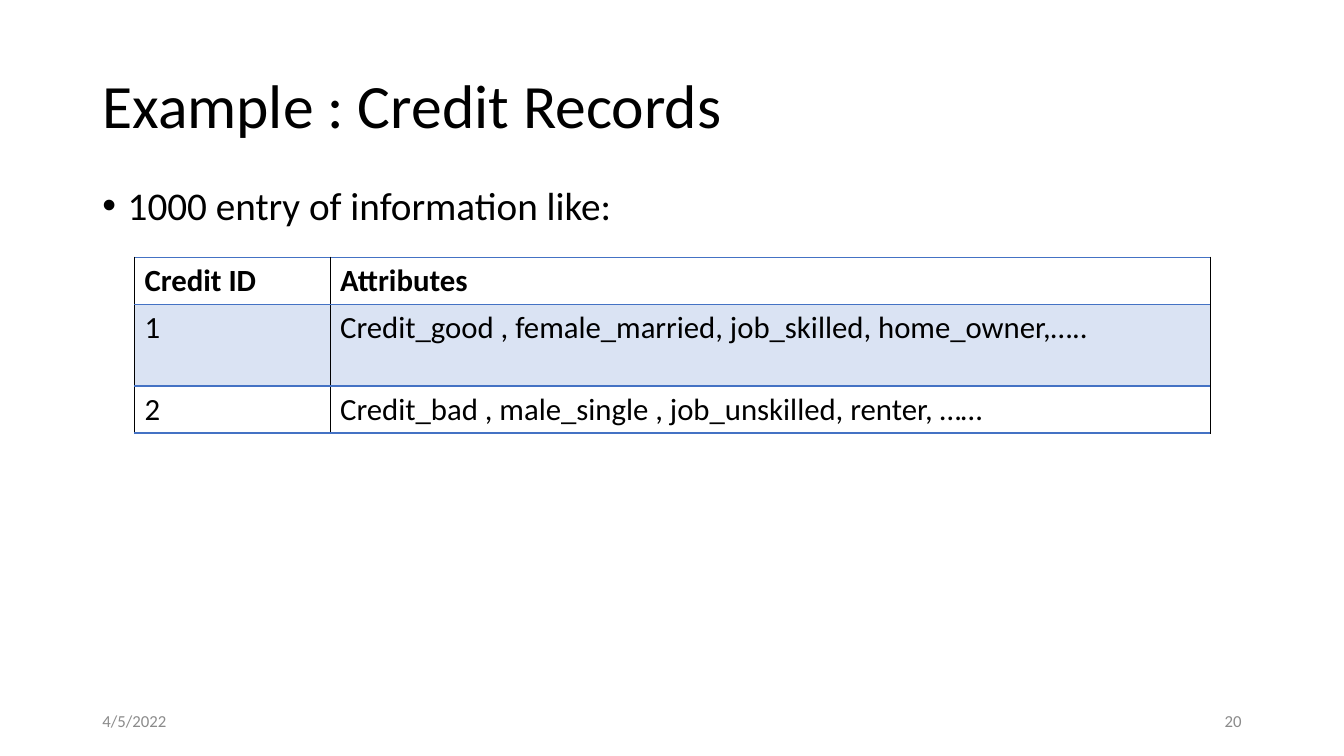
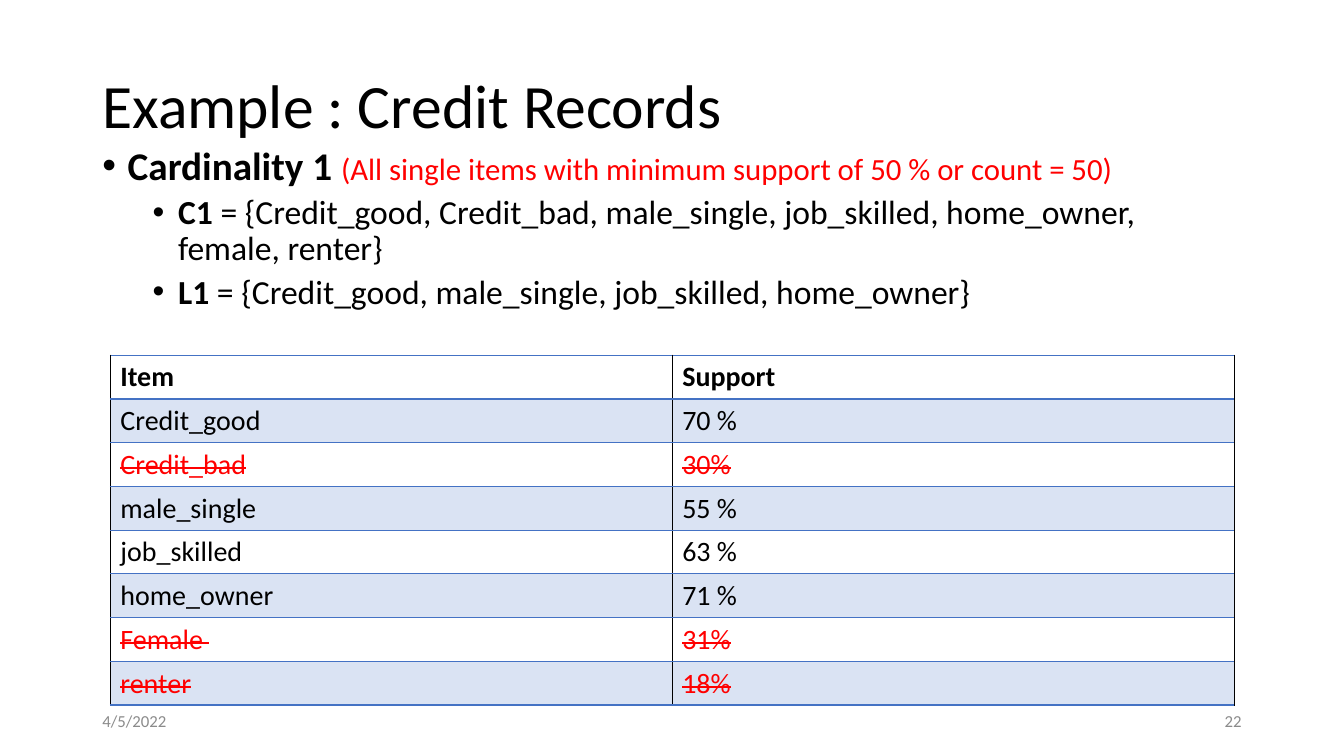
"""Builds two slides on frequent item sets in credit records."""
from lxml import etree
from pptx import Presentation
from pptx import util as u
from pptx.dml.color import RGBColor
from pptx.enum import text
from pptx.oxml.ns import qn

FONT = "Calibri"
BLACK, WHITE, RED, GREY = "000000", "FFFFFF", "FF0000", "8B8B8B"
BLUE, BAND = "4472C4", "DAE3F3"
TITLE, DATE = "Example : Credit Records", "4/5/2022"
LEFT, WIDTH = 2.33, 29.21
FOOT_TOP, FOOT_WIDTH, FOOT_HEIGHT = 17.65, 7.62, 1.01
LEVELS = [
    {"margin": 0.64, "before": 10, "size": 28},
    {"margin": 1.91, "before": 5, "size": 24},
]
HANGING = 0.64

SLIDES = [
    {
        "number": "20",
        "body": (4.57, 12.09),
        "bullets": [(0, [("1000 entry of information like:", {})])],
        "table": {
            "at": (3.39, 6.48),
            "size": 22,
            "columns": [4.93, 22.17],
            "heights": [1.18, 2.06, 1.18],
            "rows": [
                ("Credit ID", "Attributes"),
                ("1", "Credit_good , female_married, job_skilled, home_owner,….."),
                ("2", "Credit_bad , male_single , job_unskilled, renter, ……"),
            ],
            "rejected": (),
        },
    },
    {
        "number": "22",
        "body": (3.56, 14.78),
        "bullets": [
            (0, [("Cardinality 1 ", {"bold": True}),
                 ("(All single items with minimum support of 50 % or count = 50)",
                  {"size": 22, "color": RED})]),
            (1, [("C1", {"bold": True}),
                 (" = {Credit_good, Credit_bad, male_single, job_skilled, "
                  "home_owner, female, renter}", {})]),
            (1, [("L1", {"bold": True}),
                 (" = {Credit_good, male_single, job_skilled, home_owner}", {})]),
        ],
        "table": {
            "at": (2.78, 8.95),
            "size": 20,
            "columns": [14.16] * 2,
            "heights": [1.1] * 8,
            "rows": [
                ("Item", "Support"),
                ("Credit_good", "70 %"),
                ("Credit_bad", "30%"),
                ("male_single", "55 %"),
                ("job_skilled", "63 %"),
                ("home_owner", "71 %"),
                ("Female ", "31%"),
                ("renter", "18%"),
            ],
            "rejected": ("Credit_bad", "Female ", "renter"),
        },
    },
]


def rgb(value):
    """Turn a hex string into a colour."""
    return RGBColor.from_string(value)


def add_span(para, words, size, color=BLACK, bold=False, strike=False):
    """Add one formatted run to a paragraph."""
    span = para.add_run()
    span.text = words
    for name, value in {"name": FONT, "size": u.Pt(size), "bold": bold}.items():
        setattr(span.font, name, value)
    span.font.color.rgb = rgb(color)
    if strike:
        span.font._element.set("strike", "sngStrike")


def add_box(page, left, top, width, height, anchor=text.MSO_ANCHOR.MIDDLE):
    """Add a wrapping text box and return its text frame."""
    frame = page.shapes.add_textbox(*map(u.Cm, (left, top, width, height))).text_frame
    for name, value in {"word_wrap": True, "vertical_anchor": anchor}.items():
        setattr(frame, name, value)
    return frame


def add_line(page, words, at, size, color=BLACK, **paragraph_format):
    """Add a box that holds a single paragraph."""
    para = add_box(page, *at).paragraphs[0]
    for name, value in paragraph_format.items():
        setattr(para, name, value)
    add_span(para, words, size, color)


def add_bullets(page, bullets, top, height):
    """Add the bulleted body text."""
    frame = add_box(page, LEFT, top, WIDTH, height, text.MSO_ANCHOR.TOP)
    for index, (level, spans) in enumerate(bullets):
        para = frame.add_paragraph() if index else frame.paragraphs[0]
        style = LEVELS[level]
        spacing = {"level": level, "line_spacing": 0.9,
                   "space_before": u.Pt(style["before"])}
        for name, value in spacing.items():
            setattr(para, name, value)
        props = para._p.get_or_add_pPr()
        props.set("marL", str(u.Cm(style["margin"])))
        props.set("indent", str(-u.Cm(HANGING)))
        color = etree.SubElement(props, qn("a:buClr"))
        etree.SubElement(color, qn("a:srgbClr"), val=BLACK)
        etree.SubElement(props, qn("a:buFont"), typeface="Arial")
        etree.SubElement(props, qn("a:buChar"), char="•")
        for words, changes in spans:
            add_span(para, words, **{"size": style["size"], **changes})


def set_borders(cell, borders):
    """Draw the cell edges, given as tag, colour and width in points."""
    props = cell._tc.get_or_add_tcPr()
    for index, (tag, color, width) in enumerate(borders):
        edge = etree.Element(qn(tag), w=str(u.Pt(width)))
        fill = etree.SubElement(edge, qn("a:solidFill"))
        etree.SubElement(fill, qn("a:srgbClr"), val=color)
        props.insert(index, edge)


def add_grid(page, at, size, columns, heights, rows, rejected):
    """Add a table with banded rows and struck out rejected rows."""
    extent = (*at, sum(columns), sum(heights))
    table = page.shapes.add_table(len(rows), len(columns), *map(u.Cm, extent)).table
    table.first_row = table.horz_banding = False
    for column, width in zip(table.columns, columns):
        column.width = u.Cm(width)
    for row, height in zip(table.rows, heights):
        row.height = u.Cm(height)
    last = len(columns) - 1
    for i, values in enumerate(rows):
        out = values[0] in rejected
        for j, words in enumerate(values):
            cell = table.cell(i, j)
            cell.fill.solid()
            cell.fill.fore_color.rgb = rgb(BAND if i % 2 else WHITE)
            add_span(cell.text_frame.paragraphs[0], words, size,
                     RED if out else BLACK, bold=i == 0, strike=out)
            set_borders(cell, [
                ("a:lnL", BLACK, 1 if j else 0.5),
                ("a:lnR", BLACK, 1 if j < last else 0.5),
                ("a:lnT", BLUE, 0.96),
                ("a:lnB", BLUE, 0.96),
            ])


def add_frame(page, number):
    """Add the title, date and page number that all slides share."""
    add_line(page, TITLE, (LEFT, 0.89, WIDTH, 3.68), 44, line_spacing=0.9)
    right = LEFT + WIDTH - FOOT_WIDTH
    for words, left, align in ((DATE, LEFT, text.PP_ALIGN.LEFT),
                               (number, right, text.PP_ALIGN.RIGHT)):
        add_line(page, words, (left, FOOT_TOP, FOOT_WIDTH, FOOT_HEIGHT), 12, GREY,
                 alignment=align)


def main():
    """Build and save the deck."""
    deck = Presentation()
    deck.slide_width, deck.slide_height = u.Cm(33.87), u.Cm(19.05)
    for content in SLIDES:
        page = deck.slides.add_slide(deck.slide_layouts[6])
        add_bullets(page, content["bullets"], *content["body"])
        add_grid(page, **content["table"])
        add_frame(page, content["number"])
    deck.save("out.pptx")


if __name__ == "__main__":
    main()
